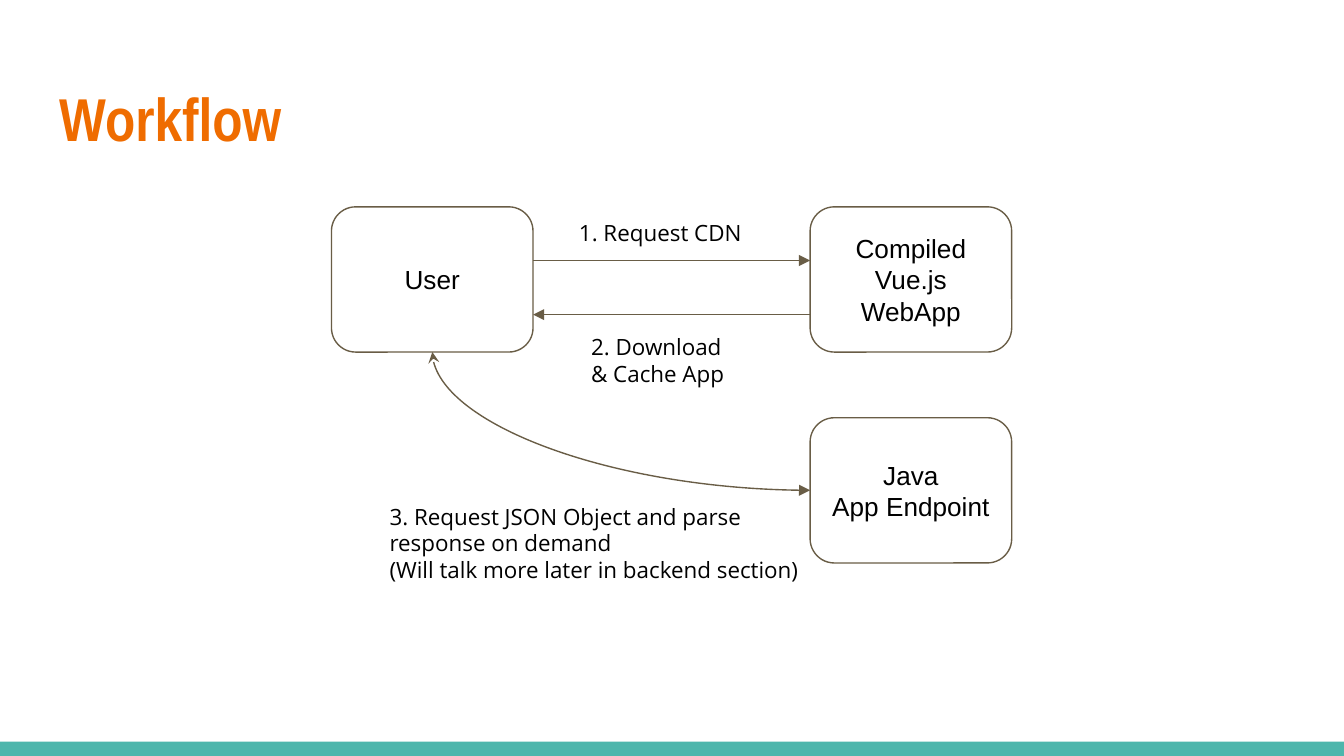
from dataclasses import dataclass

from lxml import etree
from pptx import Presentation
from pptx.dml.color import RGBColor
from pptx.enum.shapes import MSO_CONNECTOR, MSO_SHAPE
from pptx.enum.text import MSO_ANCHOR, MSO_AUTO_SIZE, PP_ALIGN
from pptx.oxml.ns import qn
from pptx.shapes.autoshape import Shape
from pptx.shapes.connector import Connector
from pptx.slide import Slide
from pptx.text.text import TextFrame
from pptx.util import Pt

LEFT, CENTER = PP_ALIGN.LEFT, PP_ALIGN.CENTER
TOP, MIDDLE = MSO_ANCHOR.TOP, MSO_ANCHOR.MIDDLE
NO_FIT, GROW = MSO_AUTO_SIZE.NONE, MSO_AUTO_SIZE.SHAPE_TO_FIT_TEXT
STRAIGHT, CURVE = MSO_CONNECTOR.STRAIGHT, MSO_CONNECTOR.CURVE
RECTANGLE, ROUNDED = MSO_SHAPE.RECTANGLE, MSO_SHAPE.ROUNDED_RECTANGLE
BOTTOM_SITE, LEFT_SITE = 2, 1

WHITE, BLACK, BROWN, TEAL, ORANGE = "FFFFFF", "000000", "695D46", "4DB6AC", "EF6C00"
PAGE_WIDTH, PAGE_HEIGHT = 720, 405
NODE_WIDTH, NODE_HEIGHT = 108, 77.8
USER_LEFT, SERVER_LEFT = 177.6, 434
TOP_ROW, BOTTOM_ROW = 110.8, 223.8
INSET = 7.2


@dataclass
class TextStyle:
    font: str
    size: float
    color: str = BLACK
    bold: bool = False
    align: PP_ALIGN = LEFT
    anchor: MSO_ANCHOR = TOP
    fit: MSO_AUTO_SIZE = NO_FIT


@dataclass
class Item:
    lines: list[str]
    left: float
    top: float
    width: float = NODE_WIDTH
    height: float = NODE_HEIGHT


TITLE_STYLE = TextStyle("Arial Narrow", 32.4, ORANGE, bold=True, anchor=MIDDLE)
NODE_STYLE = TextStyle("Arial", 14, align=CENTER, anchor=MIDDLE)
LABEL_STYLE = TextStyle("Open Sans", 12, fit=GROW)

USER = Item(["User"], USER_LEFT, TOP_ROW)
WEB_APP = Item(["Compiled Vue.js WebApp"], SERVER_LEFT, TOP_ROW)
ENDPOINT = Item(["Java", "App Endpoint"], SERVER_LEFT, BOTTOM_ROW)
LABELS = [
    Item(["1. Request CDN"], 303.1, 110.2, 108, 28.8),
    Item(["2. Download & Cache App"], 309.6, 171.4, 95, 43.9),
    Item(["3. Request JSON Object and parse response on demand",
          "(Will talk more later in backend section)"], 201.6, 262.1, 239, 58.3),
]


def rgb(color: str) -> RGBColor:
    return RGBColor.from_string(color)


def write(frame: TextFrame, lines: list[str], style: TextStyle) -> None:
    settings = {"word_wrap": True, "auto_size": style.fit, "vertical_anchor": style.anchor}
    settings |= {f"margin_{side}": Pt(INSET) for side in ("left", "top", "right", "bottom")}
    for name, value in settings.items():
        setattr(frame, name, value)
    for index, line in enumerate(lines):
        para = frame.add_paragraph() if index else frame.paragraphs[0]
        para.alignment = style.align
        span = para.add_run()
        span.text = line
        for name, value in {"name": style.font, "size": Pt(style.size), "bold": style.bold}.items():
            setattr(span.font, name, value)
        span.font.color.rgb = rgb(style.color)


def add_title(page: Slide, text: str) -> None:
    title = page.shapes.title
    for name, value in {"left": 24.5, "top": 35.3, "width": 671, "height": 55.4}.items():
        setattr(title, name, Pt(value))
    write(title.text_frame, [text], TITLE_STYLE)


def add_footer_band(page: Slide) -> None:
    height = 7.7
    band = page.shapes.add_shape(RECTANGLE, 0, Pt(PAGE_HEIGHT - height), Pt(PAGE_WIDTH), Pt(height))
    band.shadow.inherit = False
    band.fill.solid()
    band.fill.fore_color.rgb = rgb(TEAL)
    band.line.fill.background()


def add_node(page: Slide, node: Item) -> Shape:
    box = page.shapes.add_shape(ROUNDED, Pt(node.left), Pt(node.top), Pt(node.width), Pt(node.height))
    box.adjustments[0] = 0.167
    box.shadow.inherit = False
    box.fill.solid()
    box.fill.fore_color.rgb = rgb(WHITE)
    box.line.color.rgb = rgb(BROWN)
    box.line.width = Pt(0.75)
    write(box.text_frame, node.lines, NODE_STYLE)
    return box


def add_label(page: Slide, label: Item) -> None:
    box = page.shapes.add_textbox(Pt(label.left), Pt(label.top), Pt(label.width), Pt(label.height))
    write(box.text_frame, label.lines, LABEL_STYLE)


def add_arrow(page: Slide, kind: MSO_CONNECTOR, start: tuple[float, float],
              end: tuple[float, float], head: str = "none") -> Connector:
    """Draw a connector with a triangle at its end and an optional head at its start."""
    arrow = page.shapes.add_connector(kind, *(Pt(value) for value in start + end))
    arrow.line.color.rgb = rgb(BROWN)
    arrow.line.width = Pt(0.75)
    outline = arrow.line._get_or_add_ln()
    for tag, shape in {"a:headEnd": head, "a:tailEnd": "triangle"}.items():
        etree.SubElement(outline, qn(tag), type=shape)
    etree.SubElement(arrow._element.spPr, qn("a:effectLst"))
    return arrow


def add_bend(page: Slide, source: Shape, target: Shape) -> None:
    """Curve down from the source's bottom, then right into the target's left side."""
    start = source.left.pt + source.width.pt / 2, source.top.pt + source.height.pt
    end = target.left.pt, target.top.pt + target.height.pt / 2
    arrow = add_arrow(page, CURVE, start, end, head="stealth")
    arrow.begin_connect(source, BOTTOM_SITE)
    arrow.end_connect(target, LEFT_SITE)
    # A quarter turn swaps width and height around the same centre.
    across, down = end[0] - start[0], end[1] - start[1]
    arrow.left = Pt((start[0] + end[0] - down) / 2)
    arrow.top = Pt((start[1] + end[1] - across) / 2)
    arrow.width, arrow.height = Pt(down), Pt(across)
    properties = arrow._element.spPr
    properties.find(qn("a:prstGeom")).set("prst", "curvedConnector2")
    frame = properties.find(qn("a:xfrm"))
    frame.set("rot", str(270 * 60000))
    frame.set("flipH", "1")


def main() -> None:
    deck = Presentation()
    deck.slide_width, deck.slide_height = Pt(PAGE_WIDTH), Pt(PAGE_HEIGHT)
    page = deck.slides.add_slide(deck.slide_layouts[5])
    add_footer_band(page)
    add_title(page, "Workflow")
    user, _, endpoint = [add_node(page, node) for node in (USER, WEB_APP, ENDPOINT)]
    user_right = USER_LEFT + NODE_WIDTH
    add_arrow(page, STRAIGHT, (user_right, 139.6), (SERVER_LEFT, 139.6))
    add_arrow(page, STRAIGHT, (SERVER_LEFT, 168.6), (user_right, 168.6))
    add_bend(page, user, endpoint)
    for label in LABELS:
        add_label(page, label)
    deck.save("out.pptx")


if __name__ == "__main__":
    main()
